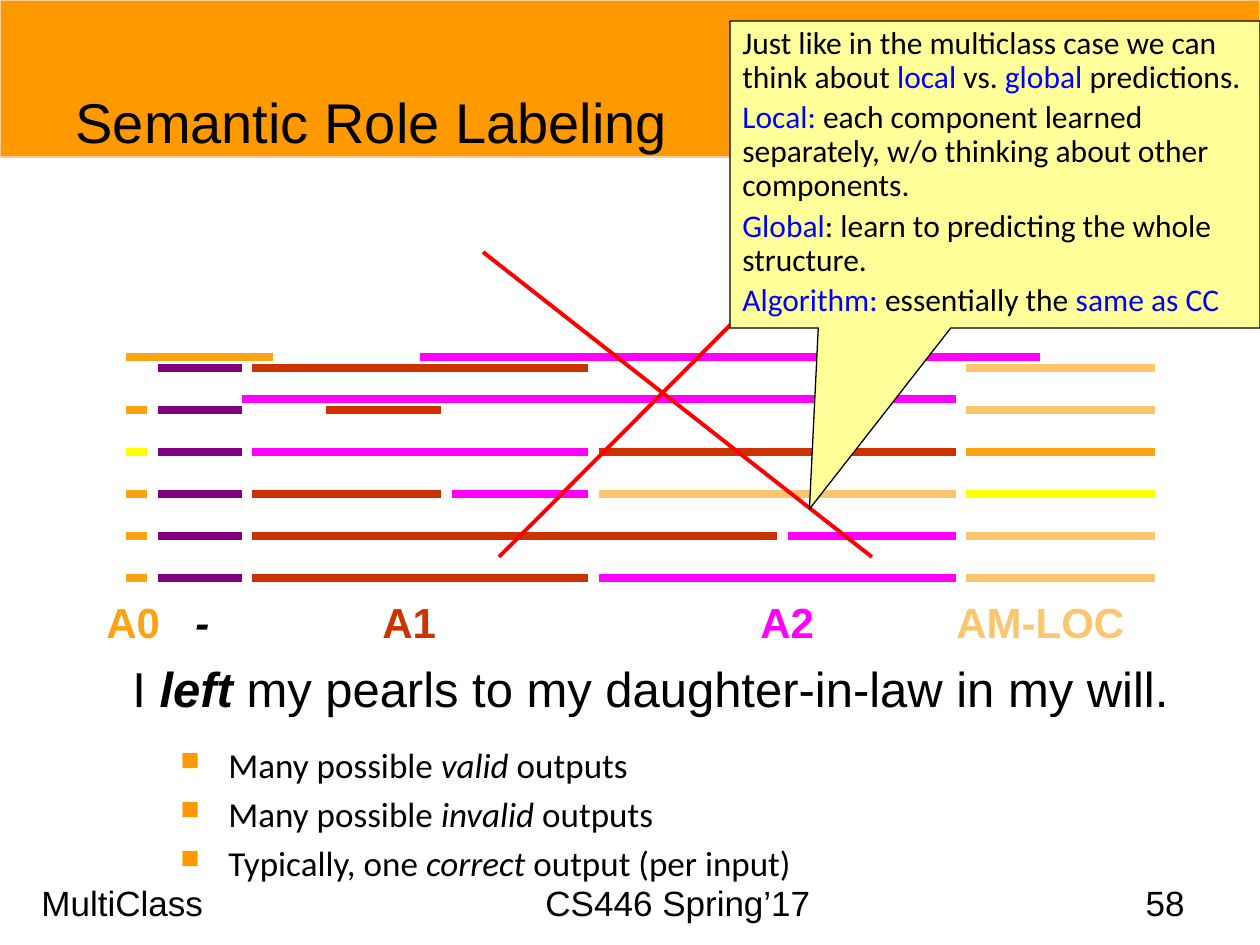
import pptx
import pptx.util
import pptx.dml.color
import pptx.enum.shapes
import pptx.enum.text
import pptx.oxml
import pptx.oxml.ns

SCALE = 914400 / 126
SHAPE = pptx.enum.shapes.MSO_SHAPE
ALIGN = pptx.enum.text.PP_ALIGN
ANCHOR = pptx.enum.text.MSO_ANCHOR
BLACK, BLUE, RED, BAND = "000000", "0000FF", "FF0000", "FF9900"
GOLD, RUST, PINK, SAND = "FBA313", "CC3300", "FF00FF", "FCC66E"
PLUM, LEMON = "800080", "FFFF00"


def px(n):
    return pptx.util.Emu(round(n * SCALE))


def rgb(code):
    return pptx.dml.color.RGBColor.from_string(code)


def child(parent, tag, **attrs):
    node = pptx.oxml.parse_xml(f"<{tag} {pptx.oxml.ns.nsdecls('a')}/>")
    for key, val in attrs.items():
        node.set(key, str(val))
    parent.append(node)
    return node


def write(para, runs, size, font):
    """Add runs given as (text, colour, style), style holding b and i."""
    for text, color, style in runs:
        run = para.add_run()
        run.text = text
        run.font.size = pptx.util.Pt(size)
        run.font.name = font
        run.font.bold = "b" in style
        run.font.italic = "i" in style
        run.font.color.rgb = rgb(color)


def text(slide, box, runs, size, font="Arial", align=ALIGN.LEFT, stops=()):
    frame = slide.shapes.add_textbox(*map(px, box)).text_frame
    frame.word_wrap = True
    para = frame.paragraphs[0]
    para.alignment = align
    if stops:
        tabs = child(para._p.get_or_add_pPr(), "a:tabLst")
        for stop in stops:
            child(tabs, "a:tab", pos=px(stop), algn="l")
    write(para, runs, size, font)
    return frame


def line(slide, ends, color, width):
    bar = slide.shapes.add_connector(
        pptx.enum.shapes.MSO_CONNECTOR.STRAIGHT, *map(px, ends))
    bar.line.color.rgb = rgb(color)
    bar.line.width = pptx.util.Pt(width)
    child(bar._element.spPr, "a:effectLst")


def block(slide, kind, box, fill, edge):
    shape = slide.shapes.add_shape(kind, *map(px, box))
    shape.shadow.inherit = False
    shape.fill.solid()
    shape.fill.fore_color.rgb = rgb(fill)
    shape.line.color.rgb = rgb(edge)
    shape.line.width = pptx.util.Pt(0.75)
    return shape


def header(slide, box):
    x, y, w, h = box
    band = block(slide, SHAPE.RECTANGLE, box, BAND, "FFCC99")
    title = slide.shapes.title
    title._element.addprevious(band._element)
    title.left, title.top, title.width, title.height = map(
        px, (x + 63, y + 53, w - 126, 136))
    frame = title.text_frame
    frame.vertical_anchor = ANCHOR.MIDDLE
    para = frame.paragraphs[0]
    para.alignment = ALIGN.LEFT
    write(para, [("Semantic Role Labeling", BLACK, "")], 32, "Arial")


def spans(slide, box):
    """Draw the candidate labelings, one row of bars each."""
    x, y = box[:2]
    subj, verb, last = (0, 21), (32, 116), (840, 1029)
    noun, rest = (126, 462), (473, 830)
    rows = [
        (0, [((0, 147), GOLD), ((294, 914), PINK)]),
        (11, [(verb, PLUM), (noun, RUST), (last, SAND)]),
        (42, [((116, 830), PINK)]),
        (53, [(subj, GOLD), (verb, PLUM), ((200, 315), RUST), (last, SAND)]),
        (95, [(subj, LEMON), (verb, PLUM), (noun, PINK), (rest, RUST),
              (last, GOLD)]),
        (137, [(subj, GOLD), (verb, PLUM), ((126, 315), RUST),
               ((326, 462), PINK), (rest, SAND), (last, LEMON)]),
        (179, [(subj, GOLD), (verb, PLUM), ((126, 651), RUST),
               ((662, 830), PINK), (last, SAND)]),
        (221, [(subj, GOLD), (verb, PLUM), (noun, RUST), (rest, PINK),
               (last, SAND)]),
    ]
    for drop, bars in rows:
        for (start, end), color in bars:
            line(slide, (x + start, y + drop, x + end, y + drop), color, 4.5)


def cross(slide, box):
    x, y, w, h = box
    line(slide, (x + 341, y, x + 16, y + h), RED, 2.25)
    line(slide, (x, y + 21, x + w, y + h), RED, 2.25)


def sentence(slide, box):
    x, y, w, h = box
    labels = [("A0\t", GOLD, "b"), ("-\t", BLACK, "bi"), ("A1\t", RUST, "b"),
              ("A2\t", PINK, "b"), ("AM-LOC", SAND, "b")]
    text(slide, (x, y, w, 63), labels, 24, stops=(89, 276, 654, 850))
    words = [("I ", BLACK, ""), ("left", BLACK, "bi"),
             (" my pearls to my daughter-in-law in my will.", BLACK, "")]
    text(slide, (x + 26, y + 62, w, 72), words, 28)


def points(slide, box):
    items = [("Many possible ", "valid", " outputs"),
             ("Many possible ", "invalid", " outputs"),
             ("Typically, one ", "correct", " output (per input)")]
    frame = text(slide, box, [], 20)
    for i, (lead, key, tail) in enumerate(items):
        para = frame.add_paragraph() if i else frame.paragraphs[0]
        props = para._p.get_or_add_pPr()
        props.set("marL", str(px(48)))
        props.set("indent", str(-px(48)))
        child(child(props, "a:buClr"), "a:srgbClr", val=BAND)
        child(props, "a:buSzPct", val=75000)
        child(props, "a:buChar", char="■")
        if i:
            para.space_before = pptx.util.Pt(4)
        write(para, [(lead, BLACK, ""), (key, BLACK, "i"), (tail, BLACK, "")],
              20, "Calibri")


def callout(slide, box):
    note = block(slide, SHAPE.RECTANGULAR_CALLOUT, box, "FFFF99", BLACK)
    note.adjustments[0], note.adjustments[1] = -0.35, 1.09
    frame = note.text_frame
    frame.word_wrap = True
    frame.vertical_anchor = ANCHOR.TOP
    paras = [
        [("Just like in the multiclass case we can think about ", BLACK),
         ("local", BLUE), (" vs. ", BLACK), ("global", BLUE),
         (" predictions.", BLACK)],
        [("Local: ", BLUE), ("each component learned separately, "
                             "w/o thinking about other components.", BLACK)],
        [("Global", BLUE),
         (": learn to predicting the whole structure.", BLACK)],
        [("Algorithm: ", BLUE), ("essentially the ", BLACK),
         ("same as CC", BLUE)],
    ]
    for i, runs in enumerate(paras):
        para = frame.add_paragraph() if i else frame.paragraphs[0]
        para.alignment = ALIGN.LEFT
        para.line_spacing = 0.9
        if i:
            para.space_before = pptx.util.Pt(3.6)
        write(para, [(words, color, "") for words, color in runs],
              18, "Calibri")


def footer(slide, box):
    x, y, w, h = box
    text(slide, (x, y, 860, h), [("MultiClass\tCS446 Spring’17", BLACK, "")],
         20, stops=(504,))
    text(slide, (x + w - 294, y, 294, h), [("58", BLACK, "")], 20,
         align=ALIGN.RIGHT)


def main():
    deck = pptx.Presentation()
    deck.slide_width, deck.slide_height = px(1260), px(945)
    slide = deck.slides.add_slide(deck.slide_layouts[5])
    header(slide, (0, 0, 1260, 157))
    footer(slide, (29, 875, 1168, 56))
    spans(slide, (126, 357, 1029, 221))
    sentence(slide, (94, 590, 1081, 134))
    points(slide, (168, 737, 987, 157))
    cross(slide, (483, 231, 389, 326))
    callout(slide, (730, 21, 530, 307))
    deck.save("out.pptx")


if __name__ == "__main__":
    main()
